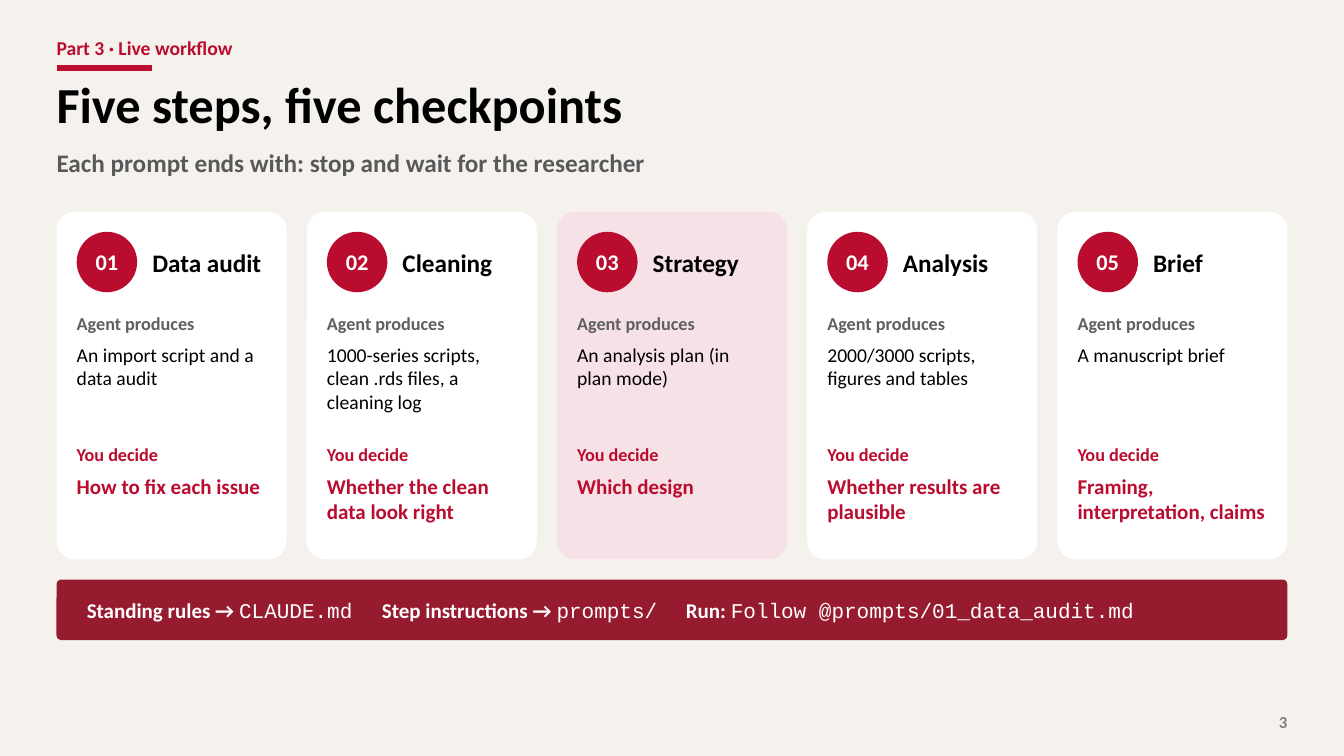
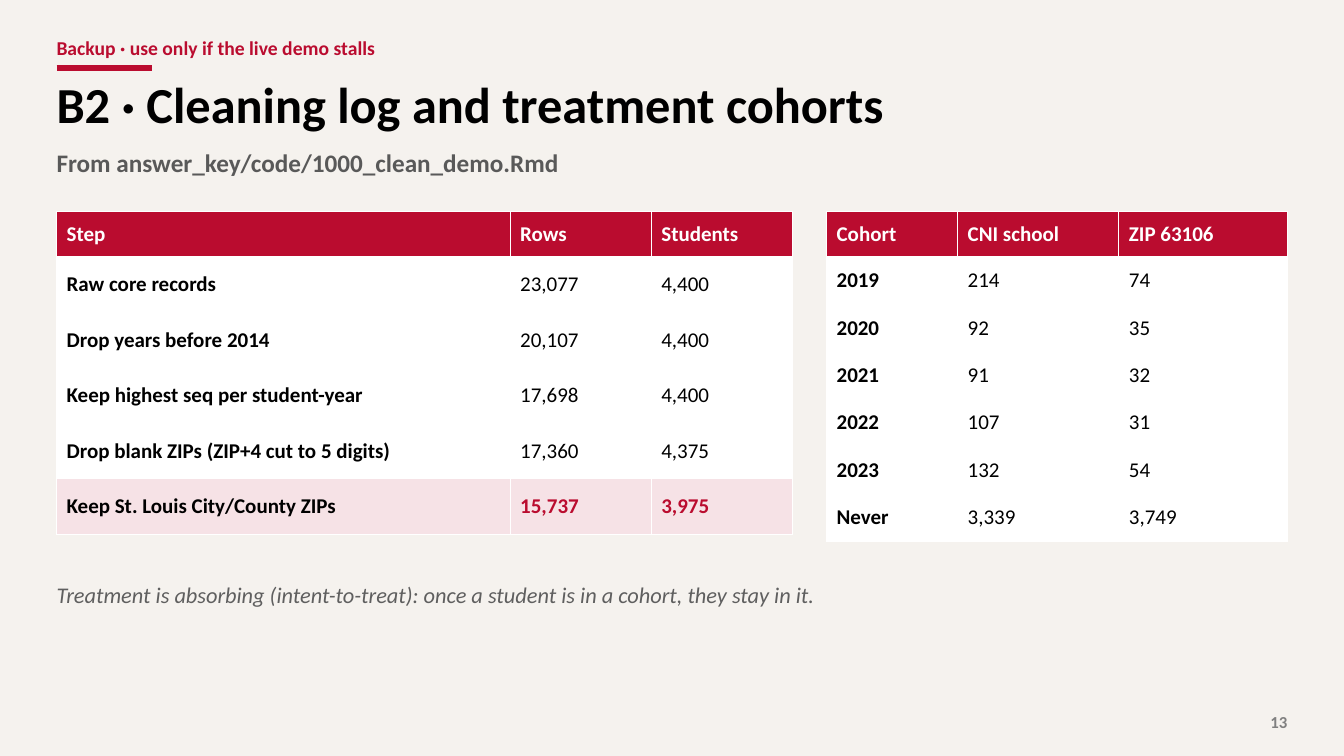
from lxml.etree import SubElement
from pptx import Presentation
from pptx.dml.color import RGBColor
from pptx.enum.shapes import MSO_CONNECTOR, MSO_SHAPE
from pptx.enum.text import MSO_ANCHOR as ANCHOR, PP_ALIGN as ALIGN
from pptx.oxml.ns import qn
from pptx.util import Pt

CRIMSON, DARK_RED, PINK = "BA0C2F", "971B2F", "F6E2E6"
PAPER, WHITE, BLACK = "F5F2EE", "FFFFFF", "000000"
SUBTITLE_GREY, NOTE_GREY, PAGE_GREY = "595959", "5F5F5F", "808080"
SANS, MONO = "Calibri", "Courier New"

SLIDE_W, SLIDE_H, MARGIN = 960, 540, 40.4
CONTENT_W = SLIDE_W - 2 * MARGIN
CONTENT_TOP = 151.2

WORKFLOW = {
    "section": "Part 3 · Live workflow",
    "title": "Five steps, five checkpoints",
    "subtitle": "Each prompt ends with: stop and wait for the researcher",
    "page": "3",
}
STEPS = [
    ("Data audit", "An import script and a data audit", "How to fix each issue"),
    ("Cleaning", "1000-series scripts, clean .rds files, a cleaning log",
     "Whether the clean data look right"),
    ("Strategy", "An analysis plan (in plan mode)", "Which design"),
    ("Analysis", "2000/3000 scripts, figures and tables", "Whether results are plausible"),
    ("Brief", "A manuscript brief", "Framing, interpretation, claims"),
]
KEY_STEP = "Strategy"
PRODUCES, DECIDE = "Agent produces", "You decide"
COMMANDS = [
    ("Standing rules → ", "CLAUDE.md"),
    ("Step instructions → ", "prompts/"),
    ("Run: ", "Follow @prompts/01_data_audit.md"),
]
COMMAND_TABS = [210.8, 428]

COHORTS = {
    "section": "Backup · use only if the live demo stalls",
    "title": "B2 · Cleaning log and treatment cohorts",
    "subtitle": "From answer_key/code/1000_clean_demo.Rmd",
    "page": "13",
}
CLEANING_LOG = [
    ("Step", "Rows", "Students"),
    ("Raw core records", "23,077", "4,400"),
    ("Drop years before 2014", "20,107", "4,400"),
    ("Keep highest seq per student-year", "17,698", "4,400"),
    ("Drop blank ZIPs (ZIP+4 cut to 5 digits)", "17,360", "4,375"),
    ("Keep St. Louis City/County ZIPs", "15,737", "3,975"),
]
COHORT_SIZES = [
    ("Cohort", "CNI school", "ZIP 63106"),
    ("2019", "214", "74"),
    ("2020", "92", "35"),
    ("2021", "91", "32"),
    ("2022", "107", "31"),
    ("2023", "132", "54"),
    ("Never", "3,339", "3,749"),
]
COHORT_NOTE = ("Treatment is absorbing (intent-to-treat): "
               "once a student is in a cohort, they stay in it.")


def rgb(value):
    return RGBColor.from_string(value)


def style(size, color, bold=True, name=SANS, **more):
    return {"size": Pt(size), "color": color, "bold": bold, "name": name, **more}


def add_run(paragraph, text, look):
    run = paragraph.add_run()
    run.text = text
    for key, value in look.items():
        if key == "color":
            run.font.color.rgb = rgb(value)
        else:
            setattr(run.font, key, value)


def set_frame(frame, anchor=ANCHOR.TOP, insets=(0, 0, 0, 0)):
    frame.word_wrap = True
    frame.vertical_anchor = anchor
    for side, inset in zip(("left", "top", "right", "bottom"), insets):
        setattr(frame, f"margin_{side}", Pt(inset))
    return frame.paragraphs[0]


def add_text(slide, box, text, look, spacing=None, align=None, **frame_format):
    area = slide.shapes.add_textbox(*map(Pt, box))
    paragraph = set_frame(area.text_frame, **frame_format)
    paragraph.alignment = align
    paragraph.line_spacing = spacing
    if text:
        add_run(paragraph, text, look)
    return paragraph


def add_block(slide, kind, box, color):
    block = slide.shapes.add_shape(kind, *map(Pt, box))
    block.shadow.inherit = False
    block.fill.solid()
    block.fill.fore_color.rgb = rgb(color)
    block.line.fill.background()
    if kind == MSO_SHAPE.ROUNDED_RECTANGLE:
        block.adjustments[0] = 0.08
    return block


def add_framed_slide(deck, heading):
    """Add a slide with the shared background, accent line, headings and page number."""
    slide = deck.slides.add_slide(deck.slide_layouts[6])
    slide.background.fill.solid()
    slide.background.fill.fore_color.rgb = rgb(PAPER)
    accent = slide.shapes.add_connector(
        MSO_CONNECTOR.STRAIGHT, Pt(MARGIN), Pt(48.6), Pt(MARGIN + 68.4), Pt(48.6))
    accent.line.color.rgb = rgb(CRIMSON)
    accent.line.width = Pt(4.5)
    SubElement(accent._element.spPr, qn("a:effectLst"))

    for part, top, height, spacing, look in (
        ("title", 55.4, 48.2, 0.85, style(36, BLACK)),
        ("subtitle", 104.4, 32.4, 0.9, style(18, SUBTITLE_GREY)),
        ("section", 23.8, 24.5, 0.9, style(14, CRIMSON)),
    ):
        add_text(slide, (MARGIN, top, CONTENT_W, height), heading[part], look,
                 spacing, insets=(0, 3.6, 7.2, 3.6))
    page_w = 20
    add_text(slide, (SLIDE_W - MARGIN - page_w, 501.1, page_w, 28.8), heading["page"],
             style(12, PAGE_GREY), align=ALIGN.RIGHT, anchor=ANCHOR.MIDDLE)
    return slide


def add_step_card(slide, number, step, left, width):
    name, product, decision = step
    pad, badge_size = 14.4, 43.2
    inner_left, inner_w = left + pad, width - 2 * pad
    badge_top = CONTENT_TOP + pad
    add_block(slide, MSO_SHAPE.ROUNDED_RECTANGLE, (left, CONTENT_TOP, width, 248.4),
              PINK if name == KEY_STEP else WHITE)
    badge = add_block(slide, MSO_SHAPE.OVAL,
                      (inner_left, badge_top, badge_size, badge_size), CRIMSON)
    numeral = set_frame(badge.text_frame, ANCHOR.MIDDLE)
    numeral.alignment = ALIGN.CENTER
    add_run(numeral, f"{number:02}", style(16, WHITE))
    name_left = inner_left + badge_size + 10.8
    add_text(slide, (name_left, badge_top, left + width - 7.2 - name_left, badge_size),
             name, style(18, BLACK), anchor=ANCHOR.MIDDLE)

    top = 223.2
    for text, height, look in (
        (PRODUCES, 21.6, style(13, NOTE_GREY)),
        (product, 72, style(14, BLACK, bold=False)),
        (DECIDE, 21.6, style(13, CRIMSON)),
        (decision, 57.6, style(15, CRIMSON)),
    ):
        add_text(slide, (inner_left, top, inner_w, height), text, look)
        top += height


def add_command_bar(slide):
    top, height, pad = 414, 43.2, 21.6
    add_block(slide, MSO_SHAPE.ROUNDED_RECTANGLE, (MARGIN, top, CONTENT_W, height), DARK_RED)
    line = add_text(slide, (MARGIN + pad, top, CONTENT_W - 2 * pad, height), "", {},
                    anchor=ANCHOR.MIDDLE)
    tabs = SubElement(line._p.get_or_add_pPr(), qn("a:tabLst"))
    for position in COMMAND_TABS:
        SubElement(tabs, qn("a:tab"), pos=str(Pt(position)), algn="l")
    for index, (label, command) in enumerate(COMMANDS):
        add_run(line, "\t" + label if index else label, style(15, WHITE))
        add_run(line, command, style(15, WHITE, bold=False, name=MONO))


def add_data_table(slide, left, rows, col_widths, row_height, highlight=None):
    """Add a table with a header row; highlight is the index of a tinted row."""
    heights = [32.4] + [row_height] * (len(rows) - 1)
    table = slide.shapes.add_table(
        len(rows), len(col_widths), Pt(left), Pt(CONTENT_TOP),
        Pt(sum(col_widths)), Pt(sum(heights))).table
    table.horz_banding = False
    for column, width in zip(table.columns, col_widths):
        column.width = Pt(width)
    for r, (values, height) in enumerate(zip(rows, heights)):
        table.rows[r].height = Pt(height)
        for c, value in enumerate(values):
            if r == 0:
                fill, look = CRIMSON, style(15, WHITE)
            elif r == highlight:
                fill, look = PINK, style(15, CRIMSON if c else BLACK)
            else:
                fill, look = WHITE, style(15, BLACK, bold=c == 0)
            cell = table.cell(r, c)
            cell.fill.solid()
            cell.fill.fore_color.rgb = rgb(fill)
            cell.vertical_anchor = ANCHOR.MIDDLE
            cell.margin_left = cell.margin_right = Pt(7.2)
            cell.margin_top = cell.margin_bottom = Pt(2.88)
            add_run(cell.text_frame.paragraphs[0], value, look)


def build_workflow(deck):
    slide = add_framed_slide(deck, WORKFLOW)
    gap = 14.4
    card_w = (CONTENT_W - gap * (len(STEPS) - 1)) / len(STEPS)
    for index, step in enumerate(STEPS):
        add_step_card(slide, index + 1, step, MARGIN + index * (card_w + gap), card_w)
    add_command_bar(slide)


def build_cohorts(deck):
    slide = add_framed_slide(deck, COHORTS)
    add_data_table(slide, MARGIN, CLEANING_LOG, (324, 100.8, 100.8), 39.6,
                   highlight=len(CLEANING_LOG) - 1)
    cohort_cols = (93.6, 115.2, 120.4)
    add_data_table(slide, SLIDE_W - MARGIN - sum(cohort_cols), COHORT_SIZES, cohort_cols, 33.84)
    add_text(slide, (MARGIN, 403.2, CONTENT_W, 43.2), COHORT_NOTE,
             style(16, NOTE_GREY, bold=False, italic=True), anchor=ANCHOR.MIDDLE)


def main():
    deck = Presentation()
    deck.slide_width, deck.slide_height = Pt(SLIDE_W), Pt(SLIDE_H)
    build_workflow(deck)
    build_cohorts(deck)
    deck.save("out.pptx")


if __name__ == "__main__":
    main()
